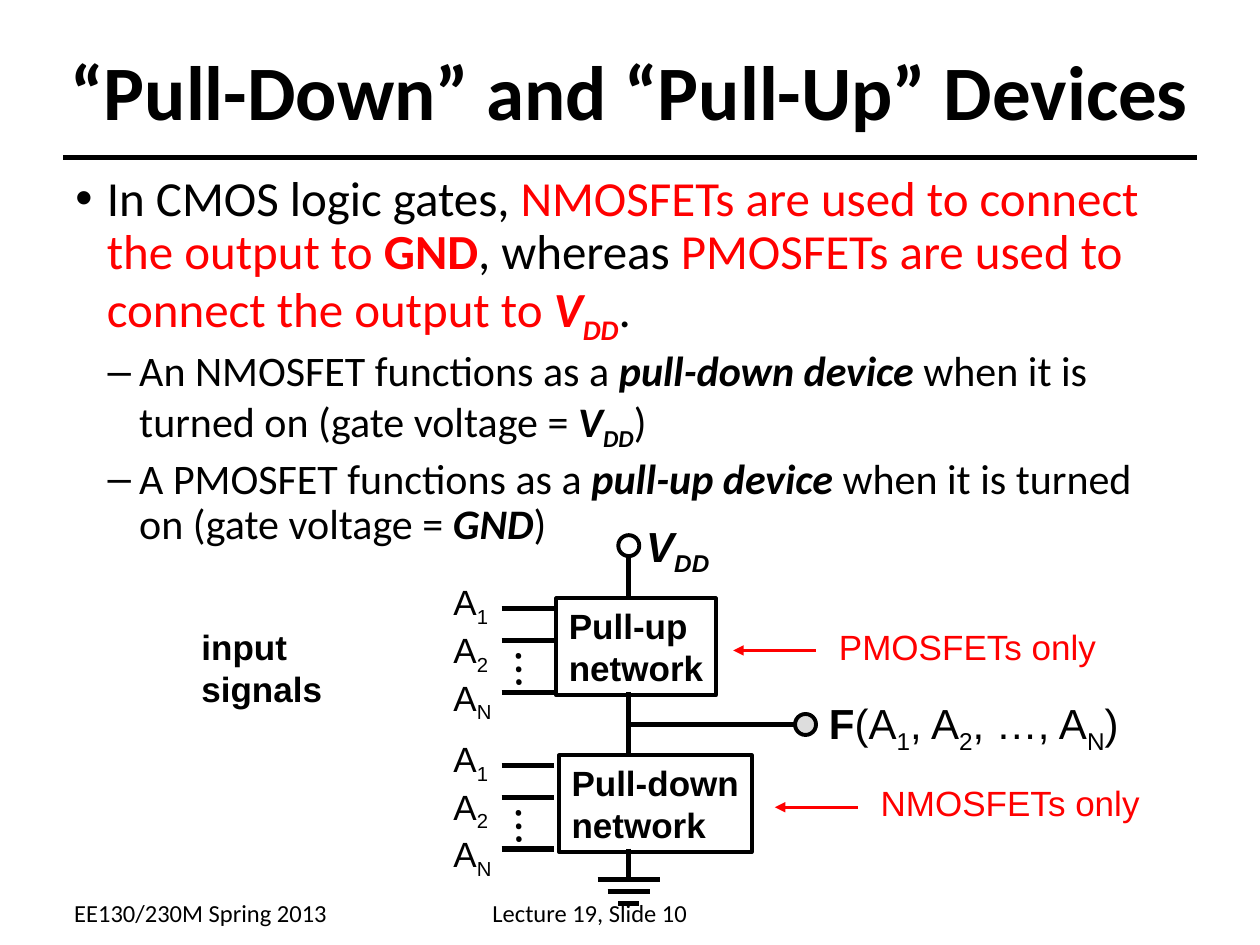
from dataclasses import dataclass
from typing import NamedTuple

from lxml.etree import SubElement
from pptx import Presentation
from pptx.dml.color import RGBColor
from pptx.enum.shapes import MSO_CONNECTOR, MSO_SHAPE
from pptx.enum.text import MSO_ANCHOR, MSO_AUTO_SIZE, PP_ALIGN
from pptx.oxml.ns import qn
from pptx.util import Pt

BLACK, RED, GREY = "000000", "FF0000", "DDDDDD"
SUBSCRIPT = "-25000"
TRUNK_X = 359.3
OUTPUT_Y = 414


class Run(NamedTuple):
    text: str
    bold: bool = False
    italic: bool = False
    color: str = BLACK
    sub: bool = False


@dataclass
class Para:
    runs: list[Run]
    size: float
    bullet: str = ""
    level: int = 0
    indent: float = 0
    before: float = 0


@dataclass
class Stage:
    """One network box with its inputs on the left and its device note on the right."""
    name: str
    devices: str
    left: float
    top: float
    width: float
    arrow_left: float
    note_left: float
    note_width: float


STAGES = [
    Stage("Pull-up", "PMOSFETs only", 318, 342, 91, 419, 472.3, 163.4),
    Stage("Pull-down", "NMOSFETs only", 319.5, 431.6, 110, 442.8, 496.1, 164.9),
]
STAGE_HEIGHT = 55.4


def rgb(value: str) -> RGBColor:
    return RGBColor.from_string(value)


def add_para(para, content: Para, font: str) -> None:
    props = para._p.get_or_add_pPr()
    if content.bullet:
        para.level = content.level
        para.line_spacing = 0.9
        if content.before:
            para.space_before = Pt(content.before)
        props.set("marL", str(Pt(content.indent)))
        props.set("indent", str(-Pt(18)))
        color = SubElement(props, qn("a:buClr"))
        SubElement(color, qn("a:srgbClr"), val=BLACK)
        SubElement(props, qn("a:buFont"), typeface="Arial")
        SubElement(props, qn("a:buChar"), char=content.bullet)
    for part in content.runs:
        run = para.add_run()
        run.text = part.text
        run.font.name = font
        run.font.size = Pt(content.size)
        run.font.bold = part.bold
        run.font.italic = part.italic
        run.font.color.rgb = rgb(part.color)
        if part.sub:
            run._r.get_or_add_rPr().set("baseline", SUBSCRIPT)


def write(shape, paras: list[Para], *, font: str = "Arial", wrap: bool = False,
          align=PP_ALIGN.LEFT, anchor=MSO_ANCHOR.TOP) -> None:
    frame = shape.text_frame
    frame.word_wrap = wrap
    frame.auto_size = MSO_AUTO_SIZE.NONE if wrap else MSO_AUTO_SIZE.SHAPE_TO_FIT_TEXT
    frame.vertical_anchor = anchor
    for index, content in enumerate(paras):
        para = frame.add_paragraph() if index else frame.paragraphs[0]
        para.alignment = align
        add_para(para, content, font)


def add_text(slide, left: float, top: float, width: float, height: float,
             paras: list[Para], *, rotation: float = 0, **text_format) -> None:
    box = slide.shapes.add_textbox(Pt(left), Pt(top), Pt(width), Pt(height))
    box.rotation = rotation
    write(box, paras, **text_format)


def add_line(slide, x1: float, y1: float, x2: float, y2: float, *,
             color: str = BLACK, width: float = 3, arrow: bool = False) -> None:
    """Draw a straight line; an arrow points at its first end."""
    line = slide.shapes.add_connector(MSO_CONNECTOR.STRAIGHT, Pt(x1), Pt(y1), Pt(x2), Pt(y2))
    line.line.color.rgb = rgb(color)
    line.line.width = Pt(width)
    if arrow:
        SubElement(line.line._get_or_add_ln(), qn("a:headEnd"), type="triangle")
    SubElement(line._element.spPr, qn("a:effectLst"))


def add_outline(slide, kind, left: float, top: float, width: float, height: float,
                fill: str = ""):
    shape = slide.shapes.add_shape(kind, Pt(left), Pt(top), Pt(width), Pt(height))
    shape.shadow.inherit = False
    if fill:
        shape.fill.solid()
        shape.fill.fore_color.rgb = rgb(fill)
    else:
        shape.fill.background()
    shape.line.color.rgb = rgb(BLACK)
    shape.line.width = Pt(2.25)
    return shape


def add_stage(slide, stage: Stage) -> None:
    top = stage.top
    for offset in (5.8, 24, 53.6):
        add_line(slide, 286.6, top + offset, 316.8, top + offset)
    add_text(slide, 252, top - 13.8, 36, 89.3,
             [Para([Run("A"), Run(index, sub=True)], 20) for index in "12N"])
    add_text(slide, 287.3, top + 22.2, 34.6, 36, [Para([Run("…")], 24)],
             rotation=89, font="Vollkorn")

    network = add_outline(slide, MSO_SHAPE.RECTANGLE, stage.left, top, stage.width, STAGE_HEIGHT)
    write(network, [Para([Run(word, bold=True)], 20) for word in (stage.name, "network")])

    add_line(slide, stage.arrow_left, top + 29.7, stage.arrow_left + 47.5, top + 29.7,
             color=RED, width=1.5, arrow=True)
    add_text(slide, stage.note_left, top + 11.7, stage.note_width, 31.7,
             [Para([Run(stage.devices, color=RED)], 20)])


def add_explanation(slide) -> None:
    vdd = [Run("V", True, True), Run("DD", True, True, sub=True)]
    red_vdd = [run._replace(color=RED) for run in vdd]
    points = [
        Para([Run("In CMOS logic gates, "),
              Run("NMOSFETs are used to connect the output to ", color=RED),
              Run("GND", bold=True, color=RED), Run(", whereas "),
              Run("PMOSFETs are used to connect the output to ", color=RED),
              *red_vdd, Run(".")], 28, "•", 0, 18),
    ]
    for subject, role, voltage in (
        ("An NMOSFET", "pull-down device", vdd),
        ("A PMOSFET", "pull-up device", [Run("GND", True, True)]),
    ):
        points.append(Para([Run(f"{subject} functions as a "), Run(role, True, True),
                            Run(" when it is turned on (gate voltage = "),
                            *voltage, Run(")")], 24, "–", 1, 36.5, 6))
    add_text(slide, 36, 95.8, 648, 380, points, font="Calibri", wrap=True)


def add_circuit(slide) -> None:
    pull_up, pull_down = STAGES
    add_line(slide, TRUNK_X, OUTPUT_Y, 455, OUTPUT_Y)
    for start, end in ((317.5, pull_up.top),
                       (pull_up.top + STAGE_HEIGHT - 2, pull_down.top),
                       (pull_down.top + STAGE_HEIGHT - 2, 502.6)):
        add_line(slide, TRUNK_X, start, TRUNK_X, end)
    for y, half in ((502.6, 17.8), (509.6, 12), (516.4, 6)):
        add_line(slide, TRUNK_X - half, y, TRUNK_X + half, y)

    for stage in STAGES:
        add_stage(slide, stage)

    add_outline(slide, MSO_SHAPE.OVAL, 454.3, OUTPUT_Y - 6, 12, 12, GREY)
    add_outline(slide, MSO_SHAPE.OVAL, TRUNK_X - 6, 305.8, 12, 12)
    add_text(slide, 362.2, 293.8, 50.4, 40.3,
             [Para([Run("V", True, True), Run("DD", True, True, sub=True)], 24)])
    add_text(slide, 466.6, 395.3, 182.2, 40.3,
             [Para([Run("F", bold=True), Run("(A"), Run("1", sub=True), Run(", A"),
                    Run("2", sub=True), Run(", …, A"), Run("N", sub=True), Run(")")], 24)])
    add_text(slide, 108, 353.7, 137.5, 31.7, [Para([Run("input signals", bold=True)], 20)])


def main() -> None:
    deck = Presentation()
    deck.slide_width, deck.slide_height = Pt(720), Pt(540)
    slide = deck.slides.add_slide(deck.slide_layouts[6])

    add_line(slide, 36, 90, 684, 90)
    add_text(slide, 18, 6, 684, 90,
             [Para([Run("“Pull-Down” and “Pull-Up” Devices", bold=True)], 44)],
             font="Calibri", wrap=True, align=PP_ALIGN.CENTER, anchor=MSO_ANCHOR.MIDDLE)
    add_explanation(slide)
    add_circuit(slide)
    for left, width, footer in ((35.3, 159, "EE130/230M Spring 2013"),
                                (274.3, 170.6, "Lecture 19, Slide 10")):
        add_text(slide, left, 509.8, width, 24.5, [Para([Run(footer)], 14)], font="Calibri")
    deck.save("out.pptx")


if __name__ == "__main__":
    main()
